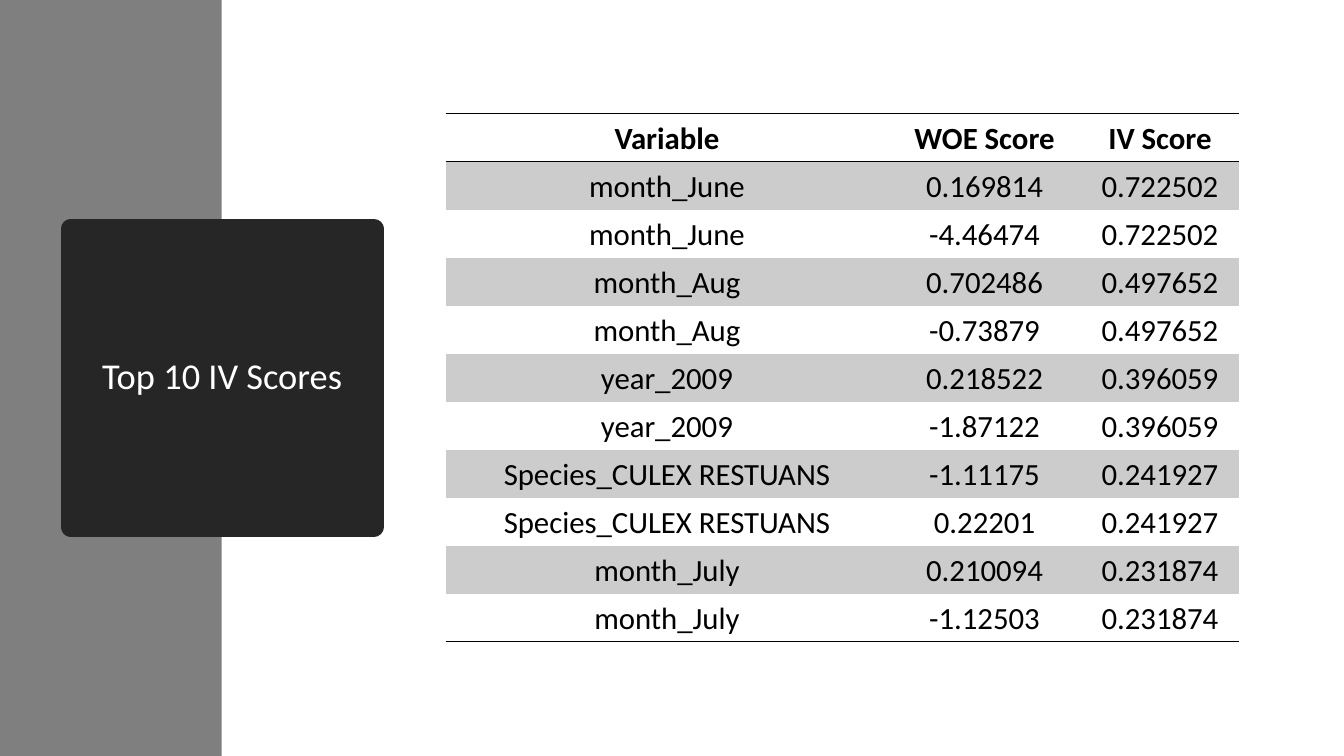
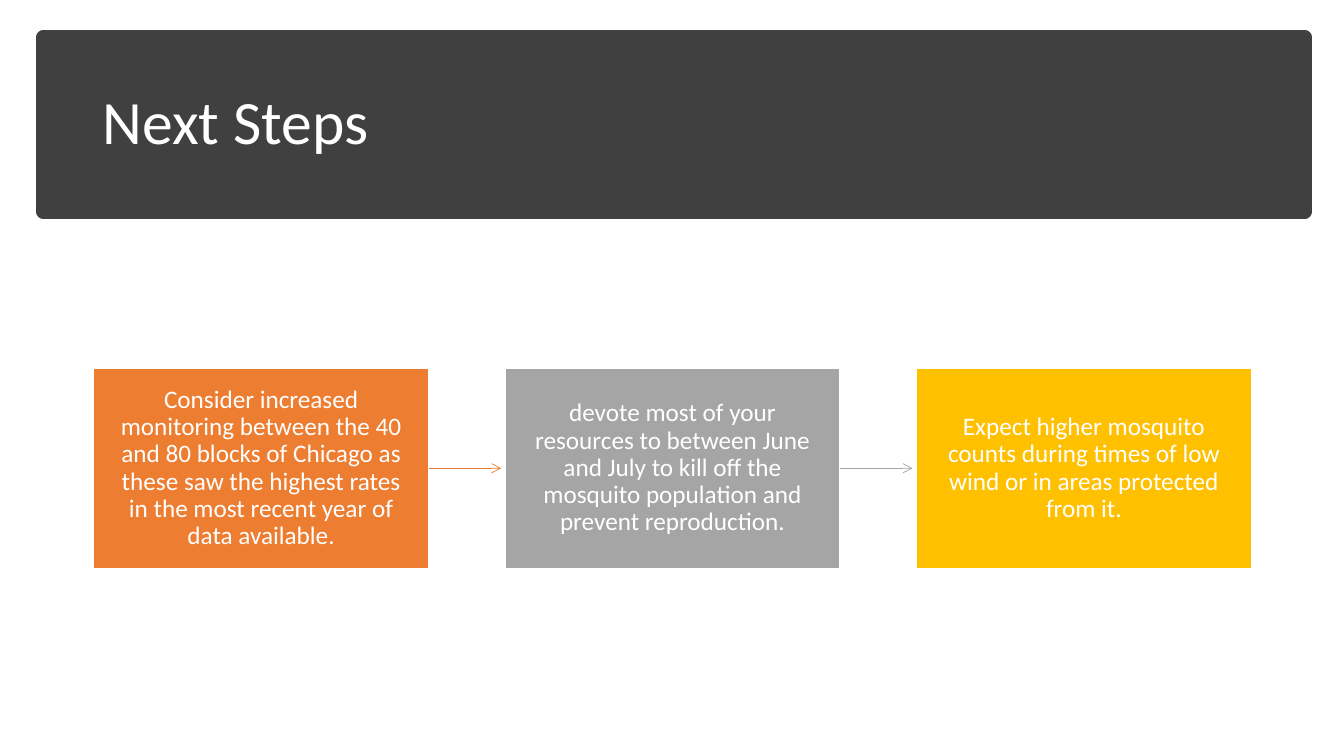
from dataclasses import dataclass
from lxml.etree import SubElement
from pptx import Presentation
from pptx.dml.color import RGBColor
from pptx.enum.shapes import MSO_CONNECTOR, MSO_SHAPE
from pptx.enum.text import MSO_ANCHOR, PP_ALIGN
from pptx.oxml import parse_xml
from pptx.oxml.ns import nsdecls, qn
from pptx.util import Inches, Pt


@dataclass(frozen=True)
class Theme:
    font: str = "Calibri"
    white: str = "FFFFFF"
    black: str = "000000"
    side: str = "7F7F7F"
    panel: str = "262626"
    band: str = "404040"
    stripe: str = "CCCCCC"
    steps: tuple = ("ED7D31", "A5A5A5", "FFC000")
    head: int = 44
    label: int = 26
    cell: int = 22
    body: int = 18


THEME = Theme()
PLAIN = "{2D5ABB26-0587-4C30-8999-92F81FD0307C}"
SCORES = [
    ("Variable", "WOE Score", "IV Score"),
    ("month_June", "0.169814", "0.722502"),
    ("month_June", "-4.46474", "0.722502"),
    ("month_Aug", "0.702486", "0.497652"),
    ("month_Aug", "-0.73879", "0.497652"),
    ("year_2009", "0.218522", "0.396059"),
    ("year_2009", "-1.87122", "0.396059"),
    ("Species_CULEX RESTUANS", "-1.11175", "0.241927"),
    ("Species_CULEX RESTUANS", "0.22201", "0.241927"),
    ("month_July", "0.210094", "0.231874"),
    ("month_July", "-1.12503", "0.231874"),
]
STEPS = [
    "Consider increased monitoring between the 40 and 80 blocks of Chicago "
    "as these saw the highest rates in the most recent year of data available.",
    "devote most of your resources to between June and July to kill off the "
    "mosquito population and prevent reproduction.",
    "Expect higher mosquito counts during times of low wind or in areas "
    "protected from it.",
]


def rgb(color):
    return RGBColor.from_string(color)


def style(item, **values):
    for name, value in values.items():
        setattr(item, name, value)


def write(frame, text, size, color=THEME.white, align=PP_ALIGN.CENTER,
          bold=False, lead=0.9):
    frame.text = text
    para = frame.paragraphs[0]
    style(para, alignment=align, line_spacing=lead)
    font = para.runs[0].font
    style(font, name=THEME.font, size=Pt(size), bold=bold)
    font.color.rgb = rgb(color)


def add_box(slide, area, fill, line=None, width=1):
    box = slide.shapes.add_shape(MSO_SHAPE.RECTANGLE, *map(Inches, area))
    box.shadow.inherit = False
    box.fill.solid()
    box.fill.fore_color.rgb = rgb(fill)
    if line:
        box.line.color.rgb = rgb(line)
        box.line.width = Pt(width)
        SubElement(box.line._get_or_add_ln(), qn("a:round"))
    else:
        box.line.fill.background()
    style(box.text_frame, word_wrap=True, vertical_anchor=MSO_ANCHOR.MIDDLE)
    return box


def add_title(slide, area, text):
    frame = slide.shapes.add_textbox(*map(Inches, area)).text_frame
    style(frame, word_wrap=True, vertical_anchor=MSO_ANCHOR.MIDDLE)
    write(frame, text, THEME.head, align=PP_ALIGN.LEFT)


def add_arrow(slide, left, right, top, color):
    arrow = slide.shapes.add_connector(
        MSO_CONNECTOR.STRAIGHT, *map(Inches, (left, top, right, top)))
    arrow.line.color.rgb = rgb(color)
    arrow.line.width = Pt(0.5)
    SubElement(arrow.line._get_or_add_ln(), qn("a:tailEnd"), type="arrow")
    SubElement(arrow._element.spPr, qn("a:effectLst"))


def add_rule(cell, side):
    rule = parse_xml(
        f'<a:{side} {nsdecls("a")} w="12700"><a:solidFill>'
        f'<a:srgbClr val="{THEME.black}"/></a:solidFill></a:{side}>')
    cell._tc.get_or_add_tcPr().insert(0, rule)


def add_cell(cell, text, row, last):
    style(cell, vertical_anchor=MSO_ANCHOR.MIDDLE, margin_left=Inches(0.02),
          margin_right=Inches(0.02), margin_top=Inches(0.02), margin_bottom=0)
    write(cell.text_frame, text, THEME.cell, THEME.black,
          bold=row == 0, lead=1.0)
    if row % 2:
        cell.fill.solid()
        cell.fill.fore_color.rgb = rgb(THEME.stripe)
    else:
        cell.fill.background()
    if row in (0, last):
        add_rule(cell, "lnB")
    if row == 0:
        add_rule(cell, "lnT")


def add_grid(slide, area, widths, rows):
    table = slide.shapes.add_table(
        len(rows), len(widths), *map(Inches, area)).table
    style(table, first_row=False, horz_banding=False)
    table._tbl.tblPr.find(qn("a:tableStyleId")).text = PLAIN
    for column, width in zip(table.columns, widths):
        column.width = Inches(width)
    for r, values in enumerate(rows):
        for c, value in enumerate(values):
            add_cell(table.cell(r, c), value, r, len(rows) - 1)


def add_steps(slide, texts):
    left, top, width, height, pitch = 0.93, 3.65, 3.32, 1.99, 4.08
    for i, (text, color) in enumerate(zip(texts, THEME.steps)):
        start = left + i * pitch
        box = add_box(slide, (start, top, width, height), color, THEME.white)
        style(box.text_frame, margin_left=Inches(0.16),
              margin_right=Inches(0.16), margin_top=Inches(0.17),
              margin_bottom=Inches(0.17))
        write(box.text_frame, text, THEME.body)
        if i < len(texts) - 1:
            add_arrow(slide, start + width, start + pitch - 0.04,
                      top + height / 2, color)


def show_scores(slide):
    add_box(slide, (0, 0, 2.2, 7.5), THEME.side)
    panel = add_box(slide, (0.7, 2.27, 3.01, 2.96), THEME.panel,
                    THEME.panel, 13.75)
    write(panel.text_frame, "Top 10 IV Scores", THEME.label)
    add_grid(slide, (4.42, 1.13, 7.87, 5.24), (4.39, 1.91, 1.57), SCORES)


def show_steps(slide):
    add_box(slide, (0.43, 0.37, 12.51, 1.73), THEME.band, THEME.band, 10)
    add_title(slide, (0.92, 0.51, 11.5, 1.45), "Next Steps")
    add_steps(slide, STEPS)


def main():
    deck = Presentation()
    style(deck, slide_width=Inches(13.33), slide_height=Inches(7.5))
    for show in (show_scores, show_steps):
        show(deck.slides.add_slide(deck.slide_layouts[6]))
    deck.save("out.pptx")


main()
